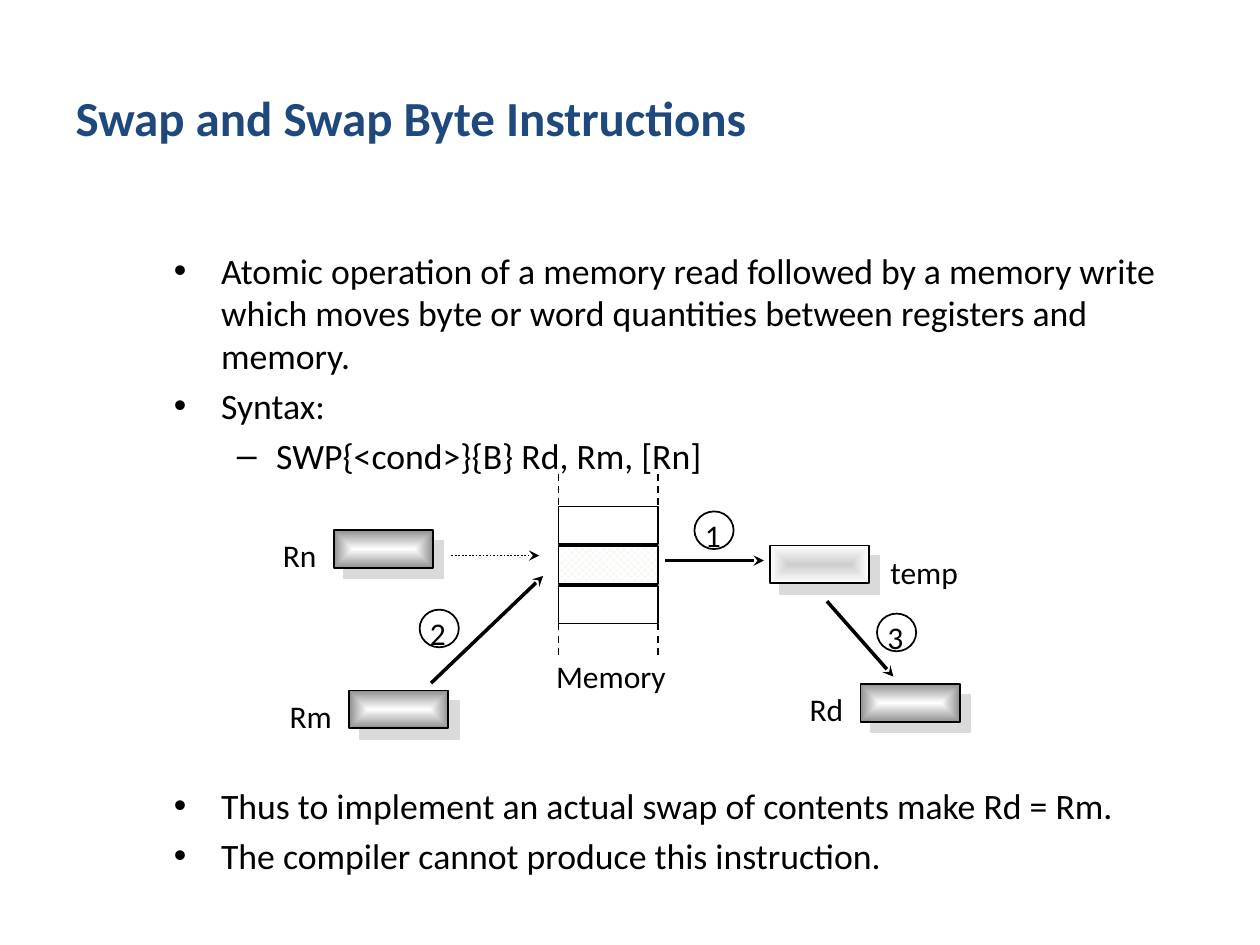
from dataclasses import dataclass

from lxml import etree
from pptx import Presentation
from pptx.dml.color import RGBColor
from pptx.enum.dml import MSO_LINE, MSO_PATTERN
from pptx.enum.shapes import MSO_CONNECTOR, MSO_SHAPE
from pptx.enum.text import MSO_AUTO_SIZE, PP_ALIGN
from pptx.oxml import parse_xml
from pptx.oxml.ns import nsdecls, qn
from pptx.util import Cm, Pt

RECT, OVAL = MSO_SHAPE.RECTANGLE, MSO_SHAPE.OVAL
STRAIGHT = MSO_CONNECTOR.STRAIGHT
DASH, DOT = MSO_LINE.DASH, MSO_LINE.ROUND_DOT
LEFT, CENTER, RIGHT = PP_ALIGN.LEFT, PP_ALIGN.CENTER, PP_ALIGN.RIGHT


@dataclass(frozen=True)
class Theme:
    font: str = "Calibri"
    title: str = "1F497D"
    ink: str = "000000"
    paper: str = "FFFFFF"
    check: str = "EEECE1"
    shadow: str = "DADADA"
    register: tuple = ("FFFFFF", "919191")
    temporary: tuple = ("CECECE", "FFFFFF")
    title_size: float = 28
    body_size: float = 20.4
    label_size: float = 18
    thin: float = 1
    thick: float = 2


THEME = Theme()

# All lengths below are centimetres.
CELL_W, CELL_H, CELL_PITCH = 2.0, 0.76, 0.8
LABEL_H = 1.02
TITLE_BOX = (1.27, 0.76, 22.86, 3.18)
BODY_BOX = (3.25, 4.88, 20.73, 12.14)
DIAGRAM_ORIGIN = (5.21, 9.55)
DIAGRAM_GAP = 175.5  # points of space kept free in the list for the diagram

BULLETS = [
    (0, "Atomic operation of a memory read followed by a memory write which "
        "moves byte or word quantities between registers and memory."),
    (0, "Syntax:"),
    (1, "SWP{<cond>}{B} Rd, Rm, [Rn]"),
    (0, "Thus to implement an actual swap of contents make Rd = Rm."),
    (0, "The compiler cannot produce this instruction."),
]
AFTER_DIAGRAM = 3

REGISTERS = [("Rn", 1.52, 1.14), ("Rm", 1.83, 4.37), ("Rd", 12.14, 4.24)]
STEPS = [("1", 8.79, 0.76), ("2", 3.25, 2.74), ("3", 12.47, 2.82)]
TRANSFERS = [
    ((8.2, 1.75), (10.19, 1.75)),
    ((3.48, 4.22), (5.74, 2.06)),
    ((11.46, 2.57), (12.8, 4.09)),
]
ADDRESS = ((3.89, 1.65), (5.66, 1.65))


def rgb(value):
    return RGBColor.from_string(value)


def style_text(paragraph, size, color=THEME.ink, bold=False):
    for run in paragraph.runs:
        font = run.font
        font.name, font.size, font.bold = THEME.font, Pt(size), bold
        font.color.rgb = rgb(color)


def place(placeholder, box):
    placeholder.left, placeholder.top, placeholder.width, placeholder.height = map(Cm, box)
    placeholder.text_frame.auto_size = MSO_AUTO_SIZE.NONE


def add_title(slide, box):
    title = slide.shapes.title
    place(title, box)
    title.text_frame.text = "Swap and Swap Byte Instructions"
    heading = title.text_frame.paragraphs[0]
    heading.alignment = LEFT
    style_text(heading, THEME.title_size, THEME.title, bold=True)


def add_bullets(slide, box):
    body = slide.placeholders[1]
    place(body, box)
    frame = body.text_frame
    frame.text = "\n".join(text for _, text in BULLETS)
    for paragraph, (level, _) in zip(frame.paragraphs, BULLETS):
        paragraph.level = level
        style_text(paragraph, THEME.body_size)
    frame.paragraphs[AFTER_DIAGRAM].space_before = Pt(DIAGRAM_GAP)


def add_outline(slide, kind, x, y, width, height):
    """Add an unfilled shape with a thin dark outline."""
    outline = slide.shapes.add_shape(kind, Cm(x), Cm(y), Cm(width), Cm(height))
    outline.shadow.inherit = False
    outline.fill.background()
    outline.line.color.rgb = rgb(THEME.ink)
    outline.line.width = Pt(THEME.thin)
    return outline


def add_label(slide, text, x, y, width, align=LEFT):
    label = slide.shapes.add_textbox(Cm(x), Cm(y), Cm(width), Cm(LABEL_H))
    label.text_frame.word_wrap = True
    label.text_frame.text = text
    paragraph = label.text_frame.paragraphs[0]
    paragraph.alignment = align
    style_text(paragraph, THEME.label_size)


def add_line(slide, origin, start, end, width=THEME.thin, dash=None, arrow=False):
    left, top = origin
    line = slide.shapes.add_connector(
        STRAIGHT, Cm(left + start[0]), Cm(top + start[1]),
        Cm(left + end[0]), Cm(top + end[1]))
    line.line.color.rgb = rgb(THEME.ink)
    line.line.width = Pt(width)
    if dash is not None:
        line.line.dash_style = dash
    properties = line._element.spPr
    if arrow:
        etree.SubElement(properties.find(qn("a:ln")), qn("a:tailEnd"), type="stealth")
    etree.SubElement(properties, qn("a:effectLst"))


def add_bevelled_cell(slide, x, y, colors):
    """Add a cell shaded from its centre to its edges, with a hard shadow."""
    cell = add_outline(slide, RECT, x, y, CELL_W, CELL_H)
    cell.fill.gradient()
    properties = cell._element.spPr
    center, edge = colors
    properties.replace(properties.find(qn("a:gradFill")), parse_xml(
        f'<a:gradFill {nsdecls("a")} rotWithShape="0"><a:gsLst>'
        f'<a:gs pos="0"><a:srgbClr val="{center}"/></a:gs>'
        f'<a:gs pos="100000"><a:srgbClr val="{edge}"/></a:gs></a:gsLst>'
        '<a:path path="shape"><a:fillToRect l="50000" t="50000" r="50000" b="50000"/>'
        '</a:path></a:gradFill>'))
    properties.find(qn("a:effectLst")).append(parse_xml(
        f'<a:outerShdw {nsdecls("a")} dist="{Pt(8.5)}" dir="2700000" algn="ctr" '
        f'rotWithShape="0"><a:srgbClr val="{THEME.shadow}"/></a:outerShdw>'))


def add_memory(slide, left, top):
    """Draw three memory cells whose dashed sides run on above and below."""
    side, first = 0.64, 0.66
    for row in range(3):
        cell = add_outline(slide, RECT, left, top + first + row * CELL_PITCH, CELL_W, CELL_H)
        if row == 1:
            cell.fill.patterned()
            cell.fill.pattern = MSO_PATTERN.LARGE_CHECKER_BOARD
            cell.fill.fore_color.rgb = rgb(THEME.check)
            cell.fill.back_color.rgb = rgb(THEME.paper)
    bottom = first + 2 * CELL_PITCH + CELL_H
    for x in (0, CELL_W):
        for y in (0, bottom):
            add_line(slide, (left, top), (x, y), (x, y + side), dash=DASH)
    add_label(slide, "Memory", left - 0.3, top + 3.58, 2.82)


def add_step(slide, number, x, y):
    add_label(slide, number, x - 0.08, y - 0.03, 0.9, CENTER)
    add_outline(slide, OVAL, x, y, 0.79, CELL_H)


def add_swap_diagram(slide, origin):
    left, top = origin
    add_memory(slide, left + 6.05, top)
    for register, x, y in REGISTERS:
        add_bevelled_cell(slide, left + x, top + y, THEME.register)
        add_label(slide, register, left + x - 1.52, top + y, 1.42, RIGHT)
    add_bevelled_cell(slide, left + 10.31, top + 1.45, THEME.temporary)
    add_label(slide, "temp", left + 12.49, top + 1.47, 1.93)
    add_line(slide, origin, *ADDRESS, dash=DOT, arrow=True)
    for start, end in TRANSFERS:
        add_line(slide, origin, start, end, THEME.thick, arrow=True)
    for number, x, y in STEPS:
        add_step(slide, number, left + x, top + y)


def main():
    deck = Presentation()
    deck.slide_width, deck.slide_height = Cm(25.4), Cm(19.05)
    slide = deck.slides.add_slide(deck.slide_layouts[1])
    add_title(slide, TITLE_BOX)
    add_bullets(slide, BODY_BOX)
    add_swap_diagram(slide, DIAGRAM_ORIGIN)
    deck.save("out.pptx")


if __name__ == "__main__":
    main()
